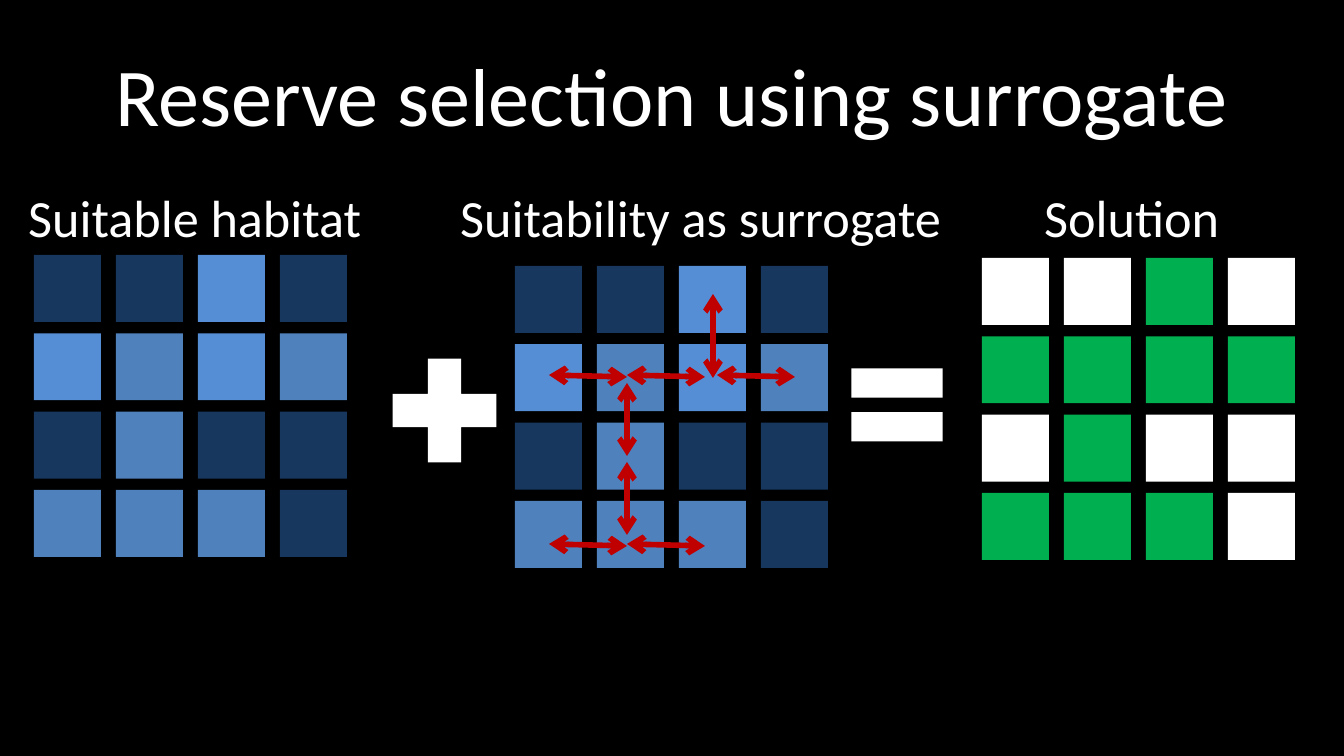
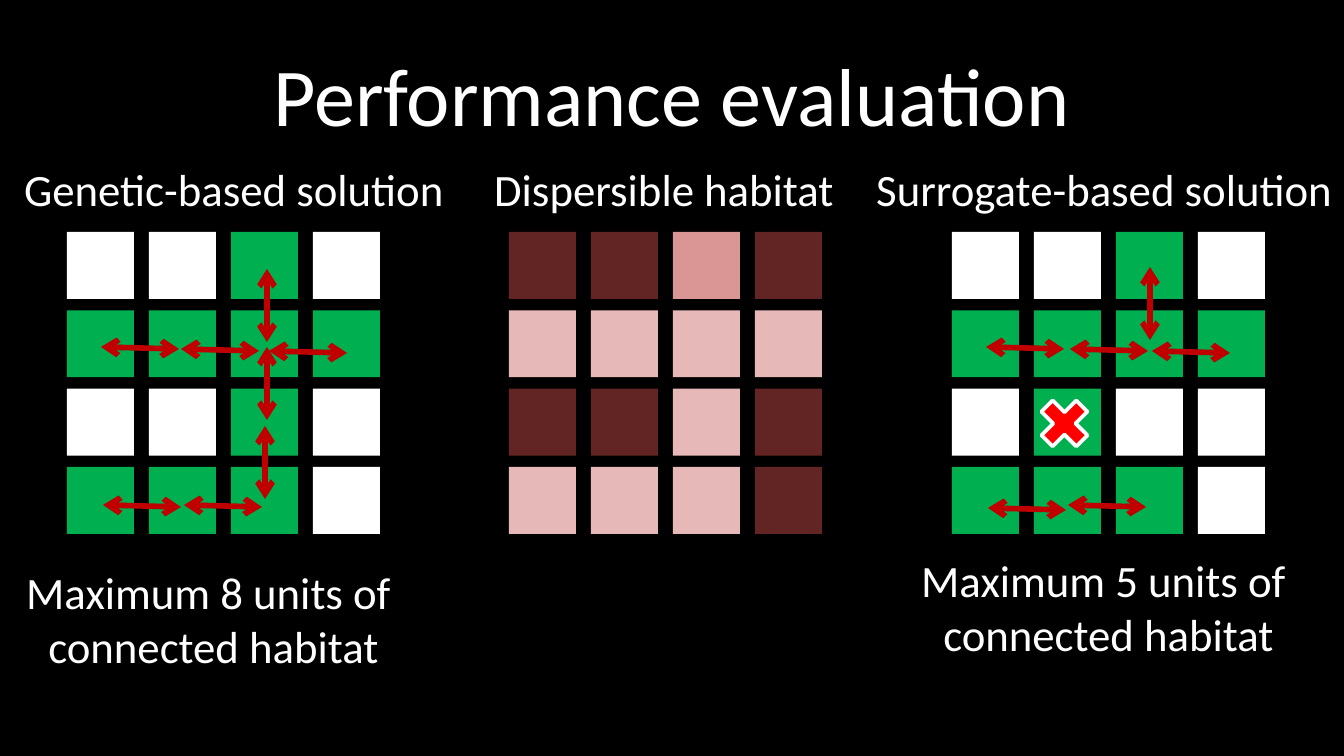
from dataclasses import dataclass

from lxml import etree
from pptx import Presentation
from pptx.dml.color import RGBColor
from pptx.enum.shapes import MSO_CONNECTOR, MSO_SHAPE
from pptx.enum.text import MSO_ANCHOR, MSO_AUTO_SIZE, PP_ALIGN
from pptx.oxml.ns import qn
from pptx.util import Pt

RECT, PLUS, EQUAL, CROSS = (MSO_SHAPE.RECTANGLE, MSO_SHAPE.MATH_PLUS,
                            MSO_SHAPE.MATH_EQUAL, MSO_SHAPE.MATH_MULTIPLY)
STRAIGHT = MSO_CONNECTOR.STRAIGHT
LEFT, CENTER = PP_ALIGN.LEFT, PP_ALIGN.CENTER
TOP, MIDDLE = MSO_ANCHOR.TOP, MSO_ANCHOR.MIDDLE
FIT_TEXT, NO_FIT = MSO_AUTO_SIZE.SHAPE_TO_FIT_TEXT, MSO_AUTO_SIZE.NONE

PX = 914400 / 134.4  # EMU in one px
SLIDE_W, SLIDE_H = 1344, 756


@dataclass(frozen=True)
class Theme:
    font: str = "Calibri"
    title: int = 44
    heading: int = 28
    label: int = 24
    arrow_width: int = 3
    cross_outline: int = 2
    background: str = "000000"
    text: str = "FFFFFF"
    arrow: str = "C00000"
    cross: str = "FF0000"


THEME = Theme()

# One letter per grid cell
CELL_COLORS = {
    "n": "17375E", "b": "558ED5", "m": "4F81BD",  # habitat: unsuitable, high, medium
    "w": "FFFFFF", "g": "00B050",                 # solution: left out, selected
    "d": "632523", "r": "D99694", "p": "E6B9B8",  # dispersal: none, isolated, linked
}
HABITAT = ("nnbn", "bmbm", "nmnn", "mmmn")
DISPERSIBLE = ("ddrd", "pppp", "ddpd", "pppd")
GENETIC_SOLUTION = ("wwgw", "gggg", "wwgw", "gggw")
SURROGATE_SOLUTION = ("wwgw", "gggg", "wgww", "gggw")

CELL = 67
GRID_SPAN_X, GRID_SPAN_Y = 246, 235  # first cell to last cell
TITLE_BOX = (67, 31, 1210, 126)

# Arrow runs: (dx, dy)
ACROSS, DOWN, LONG_DOWN = (78, 2), (0, 73), (0, 84)

SLIDES = [
    {
        "title": "Reserve selection using surrogate",
        "grouped": False,
        "grids": [(34, 255, HABITAT), (982, 258, SURROGATE_SOLUTION),
                  (515, 266, HABITAT)],
        "symbols": [(PLUS, 374, 340, 141, THEME.text, None),
                    (EQUAL, 835, 343, 124, THEME.text, None)],
        "arrows": {
            ACROSS: [(549, 544), (627, 544), (549, 375), (627, 375), (717, 375)],
            DOWN: [(627, 462), (627, 383)],
            LONG_DOWN: [(713, 294)],
        },
        "size": THEME.heading,
        "headings": [("Suitability as surrogate", (447, 179, 513, 77)),
                     ("Solution", (1031, 179, 204, 77)),
                     ("Suitable habitat", (15, 179, 364, 77))],
        "captions": [],
    },
    {
        "title": "Performance evaluation",
        "grouped": True,
        "grids": [(509, 232, DISPERSIBLE), (67, 232, GENETIC_SOLUTION),
                  (952, 232, SURROGATE_SOLUTION)],
        "symbols": [(CROSS, 1031, 390, 67, THEME.cross, THEME.text)],
        "arrows": {
            ACROSS: [(101, 347), (181, 349), (269, 351), (184, 505), (103, 505),
                     (986, 347), (1070, 349), (1152, 351), (1068, 505), (988, 508)],
            DOWN: [(1150, 267), (265, 426), (267, 269), (267, 347)],
        },
        "size": THEME.label,
        "headings": [("Genetic-based solution", (11, 155, 452, 67)),
                     ("Surrogate-based solution", (863, 155, 488, 67)),
                     ("Dispersible habitat", (481, 155, 370, 67))],
        "captions": [("Maximum 8 units of \nconnected habitat", (11, 558, 405, 122)),
                     ("Maximum 5 units of \nconnected habitat", (906, 546, 405, 122))],
    },
]


def emu(*lengths):
    return [round(n * PX) for n in lengths]


def rgb(color):
    return RGBColor.from_string(color)


def add_text(s, text, box, size, align=LEFT, anchor=TOP, wrap=False):
    tf = s.shapes.add_textbox(*emu(*box)).text_frame
    tf.text = text
    tf.word_wrap = wrap
    tf.auto_size = NO_FIT if wrap else FIT_TEXT
    tf.vertical_anchor = anchor
    for p in tf.paragraphs:
        p.alignment = align
        for r in p.runs:
            r.font.name = THEME.font
            r.font.size = Pt(size)
            r.font.color.rgb = rgb(THEME.text)


def add_square(shapes, kind, x, y, side, fill, outline=None):
    sp = shapes.add_shape(kind, *emu(x, y, side, side))
    sp.shadow.inherit = False
    sp.fill.solid()
    sp.fill.fore_color.rgb = rgb(fill)
    if outline:
        sp.line.color.rgb = rgb(outline)
        sp.line.width = Pt(THEME.cross_outline)
    else:
        sp.line.fill.background()


def add_grid(shapes, left, top, rows):
    for i, row in enumerate(rows):
        y = top + i * GRID_SPAN_Y / (len(rows) - 1)
        for j, key in enumerate(row):
            x = left + j * GRID_SPAN_X / (len(row) - 1)
            add_square(shapes, RECT, x, y, CELL, CELL_COLORS[key])


def add_double_arrow(s, x, y, dx, dy):
    sp = s.shapes.add_connector(STRAIGHT, *emu(x, y, x + dx, y + dy))
    sp.line.color.rgb = rgb(THEME.arrow)
    sp.line.width = Pt(THEME.arrow_width)
    ln = sp.line._get_or_add_ln()
    for end in ("a:headEnd", "a:tailEnd"):
        etree.SubElement(ln, qn(end), type="arrow")
    etree.SubElement(sp._element.spPr, qn("a:effectLst"))


def build_slide(prs, content):
    s = prs.slides.add_slide(prs.slide_layouts[6])
    s.background.fill.solid()
    s.background.fill.fore_color.rgb = rgb(THEME.background)
    add_text(s, content["title"], TITLE_BOX, THEME.title, CENTER, MIDDLE, wrap=True)
    for grid in content["grids"]:
        shapes = s.shapes.add_group_shape().shapes if content["grouped"] else s.shapes
        add_grid(shapes, *grid)
    for symbol in content["symbols"]:
        add_square(s.shapes, *symbol)
    for run, starts in content["arrows"].items():
        for start in starts:
            add_double_arrow(s, *start, *run)
    for text, box in content["headings"]:
        add_text(s, text, box, content["size"])
    for text, box in content["captions"]:
        add_text(s, text, box, content["size"], CENTER)


def main():
    prs = Presentation()
    prs.slide_width, prs.slide_height = emu(SLIDE_W, SLIDE_H)
    for content in SLIDES:
        build_slide(prs, content)
    prs.save("out.pptx")


if __name__ == "__main__":
    main()
